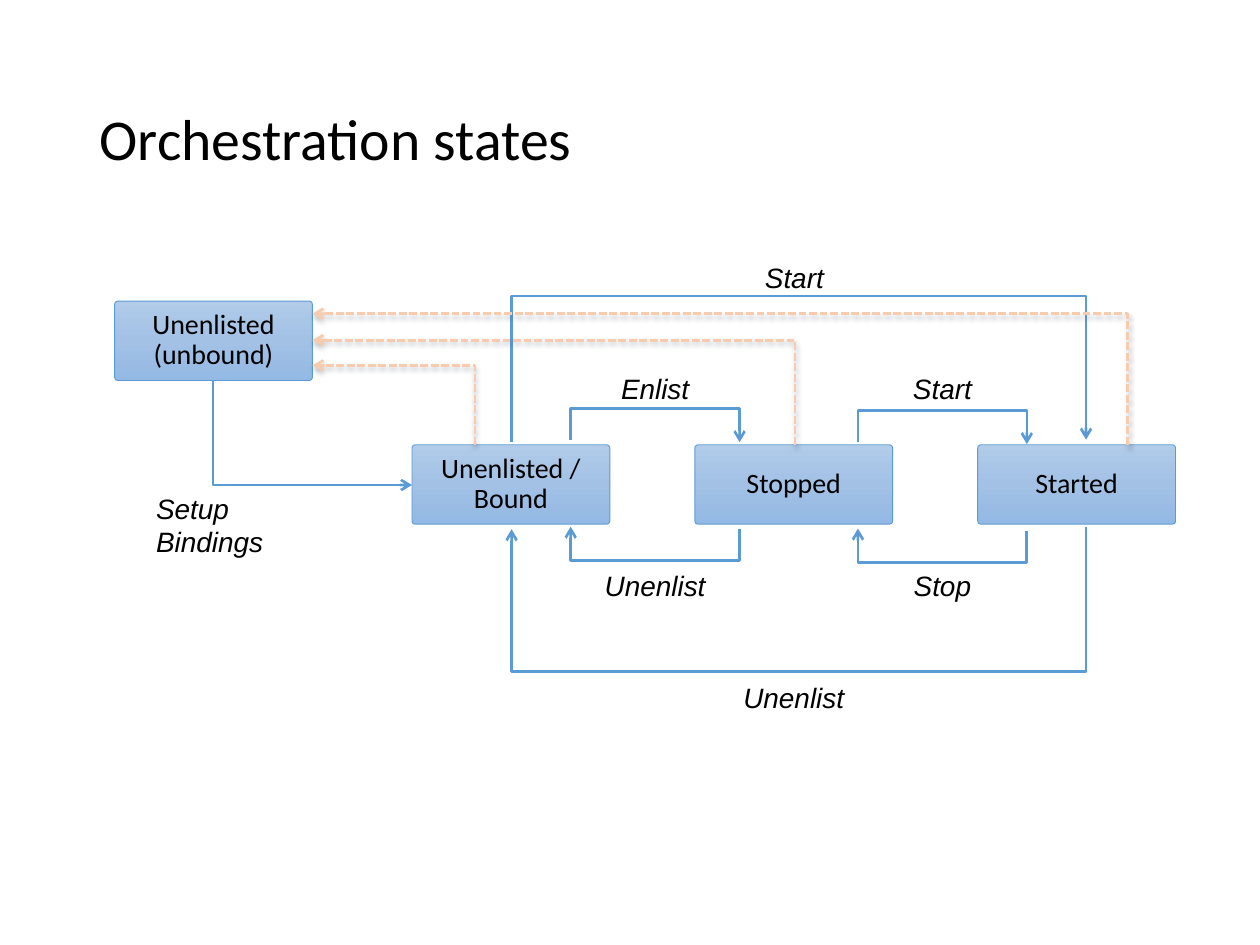
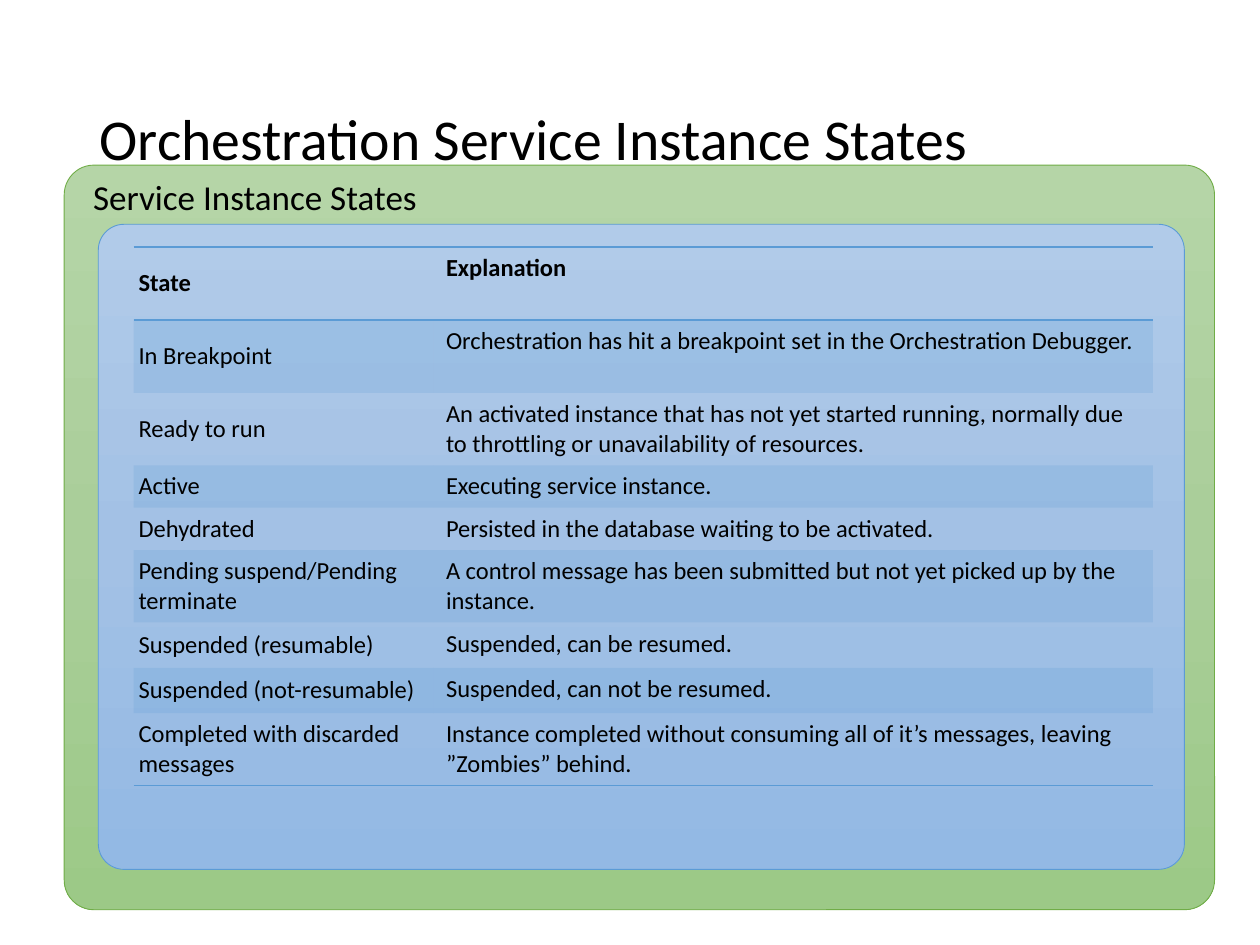
"""Build two slides on orchestration states: a state diagram and a table of states."""
import copy
from dataclasses import dataclass

import pptx
import pptx.dml.color
import pptx.enum.dml
import pptx.enum.shapes
import pptx.enum.text
import pptx.oxml
import pptx.oxml.ns
import pptx.util

ALIGN = pptx.enum.text.PP_ALIGN
ANCHOR = pptx.enum.text.MSO_ANCHOR
SHAPES = pptx.enum.shapes
WIDTH, HEIGHT = pptx.util.Inches(10), pptx.util.Inches(7.5)
NAMESPACE = pptx.oxml.ns.nsdecls("a")
NO_STYLE = "{2D5ABB26-0587-4C30-8999-92F81FD0307C}"


@dataclass(frozen=True)
class Theme:
    """Hold the colours, fonts and type sizes of both slides."""
    text: str = "000000"
    blue: str = "5B9BD5"
    green: str = "70AD47"
    peach: str = "F8CBAD"
    shadow: str = "333F50"
    blue_fade: tuple = ("B1CBE9", "A3C1E5", "93B9E4")
    green_fade: tuple = ("B5D5A7", "AACE9A", "9CC987")
    body_font: str = "Calibri"
    label_font: str = "Arial"
    title_size: int = 33
    panel_size: int = 20
    label_size: int = 16
    table_size: int = 14


THEME = Theme()

STATES = (
    ("State", "Explanation"),
    ("In Breakpoint", "Orchestration has hit a breakpoint set in the Orchestration Debugger."),
    ("Ready to run", "An activated instance that has not yet started running, normally due "
     "to throttling or unavailability of resources."),
    ("Active", "Executing service instance."),
    ("Dehydrated", "Persisted in the database waiting to be activated."),
    ("Pending suspend/Pending terminate",
     "A control message has been submitted but not yet picked up by the instance."),
    ("Suspended (resumable)", "Suspended, can be resumed."),
    ("Suspended (not-resumable)", "Suspended, can not be resumed."),
    ("Completed with discarded messages",
     "Instance completed without consuming all of it’s messages, leaving ”Zombies” behind."),
)
ROW_HEIGHTS = (7.73, 7.73, 4.8, 4.13, 4.13, 4.8, 4.8, 4.8, 4.8)


def across(percent):
    """Turn a percentage of the slide width into a length."""
    return round(WIDTH * percent / 100)


def down(percent):
    """Turn a percentage of the slide height into a length."""
    return round(HEIGHT * percent / 100)


def place(left, top, width, height):
    """Turn a box in percentages into lengths."""
    return across(left), down(top), across(width), down(height)


def rgb(value):
    """Return a colour for a hexadecimal value."""
    return pptx.dml.color.RGBColor.from_string(value)


def assign(target, values):
    """Set attributes from a dict of format values."""
    for name, value in values.items():
        setattr(target, name, value)


def write(frame, text, size, font=THEME.body_font, align=ALIGN.LEFT, spacing=0.9,
          bold=False, italic=False, **frame_format):
    """Write one formatted paragraph into a text frame."""
    assign(frame, {"word_wrap": True, **frame_format})
    paragraph = frame.paragraphs[0]
    assign(paragraph, {"alignment": align, "line_spacing": spacing})
    run = paragraph.add_run()
    run.text = text
    assign(run.font, {"name": font, "size": pptx.util.Pt(size), "bold": bold, "italic": italic})
    run.font.color.rgb = rgb(THEME.text)


def add_titled_slide(presentation, title):
    """Add a title-only slide with the shared title style."""
    slide = presentation.slides.add_slide(presentation.slide_layouts[5])
    names = ("left", "top", "width", "height")
    assign(slide.shapes.title, dict(zip(names, place(6.9, 5.33, 86.2, 19.33))))
    write(slide.shapes.title.text_frame, title, THEME.title_size, vertical_anchor=ANCHOR.MIDDLE)
    return slide


def add_panel(slide, box, fade, outline):
    """Add a slightly rounded panel with a vertical three-stop gradient."""
    shape = slide.shapes.add_shape(SHAPES.MSO_SHAPE.ROUNDED_RECTANGLE, *place(*box))
    shape.adjustments[0] = 0.04
    shape.shadow.inherit = False
    shape.line.color.rgb = rgb(outline)
    shape.line.width = pptx.util.Pt(0.5)
    shape.fill.gradient()
    shape.fill.gradient_angle = 270
    stop_list = shape.element.spPr.find(".//" + pptx.oxml.ns.qn("a:gsLst"))
    stop_list.insert(1, copy.deepcopy(stop_list[0]))
    for stop, position, colour in zip(shape.fill.gradient_stops, (0, 0.5, 1), fade):
        stop.position = position
        stop.color.rgb = rgb(colour)
    return shape


def add_state(slide, text, left, top):
    """Add a state box of the diagram."""
    shape = add_panel(slide, (left, top, 15.7, 8.4), THEME.blue_fade, THEME.blue)
    write(shape.text_frame, text, THEME.label_size, align=ALIGN.CENTER,
          vertical_anchor=ANCHOR.MIDDLE)


def add_label(slide, text, box, align=ALIGN.CENTER):
    """Add an italic label of a transition."""
    frame = slide.shapes.add_textbox(*place(*box)).text_frame
    write(frame, text, THEME.label_size, THEME.label_font, align, 1, italic=True,
          auto_size=pptx.enum.text.MSO_AUTO_SIZE.SHAPE_TO_FIT_TEXT)


def add_bent_arrow(slide, start, end, rail=None, colour=THEME.blue):
    """Add an arrow that leaves vertically and turns at the rail, or at the end's height."""
    (x1, y1), (x2, y2) = ((across(x), down(y)) for x, y in (start, end))
    run, rise = abs(x2 - x1), abs(y2 - y1)
    left, top = (x1 + x2 - rise) // 2, (y1 + y2 - run) // 2
    connector = slide.shapes.add_connector(
        SHAPES.MSO_CONNECTOR.ELBOW, left, top, left + rise, top + run)
    properties = connector.element.spPr
    frame = properties.find(pptx.oxml.ns.qn("a:xfrm"))
    frame.set("rot", str((270 if x2 > x1 else 90) * 60000))
    if (x2 > x1) == (y2 > y1):
        frame.set("flipH", "1")
    geometry = properties.find(pptx.oxml.ns.qn("a:prstGeom"))
    if rail is None:
        geometry.set("prst", "bentConnector2")
    else:
        turn = round((down(rail) - y1) / (y2 - y1) * 100000)
        guides = geometry.find(pptx.oxml.ns.qn("a:avLst"))
        guides.append(pptx.oxml.parse_xml(f'<a:gd {NAMESPACE} name="adj1" fmla="val {turn}"/>'))
    connector.line.color.rgb = rgb(colour)
    connector.line.width = pptx.util.Pt(1.5)
    return connector


def finish_arrow(connector, shadow=""):
    """Add the arrowhead and the effect list of a connector."""
    line = connector.line._get_or_add_ln()
    line.append(pptx.oxml.parse_xml(f'<a:tailEnd {NAMESPACE} type="arrow"/>'))
    connector.element.spPr.append(
        pptx.oxml.parse_xml(f"<a:effectLst {NAMESPACE}>{shadow}</a:effectLst>"))


def add_transition(slide, start, end, rail=None):
    """Add a solid arrow between two states."""
    finish_arrow(add_bent_arrow(slide, start, end, rail))


def add_unbind(slide, start, end):
    """Add a dashed, shadowed arrow back to the unbound state."""
    connector = add_bent_arrow(slide, start, end, colour=THEME.peach)
    connector.line.dash_style = pptx.enum.dml.MSO_LINE.SQUARE_DOT
    finish_arrow(connector, (
        '<a:outerShdw blurRad="39370" dist="22860" dir="5400000" rotWithShape="0">'
        f'<a:srgbClr val="{THEME.shadow}"><a:alpha val="35000"/></a:srgbClr></a:outerShdw>'))


def set_cell_border(cell, side):
    """Draw one blue border of a table cell."""
    cell._tc.get_or_add_tcPr().append(pptx.oxml.parse_xml(
        f'<a:ln{side} {NAMESPACE} w="12700"><a:solidFill><a:srgbClr val="{THEME.blue}"/>'
        f"</a:solidFill></a:ln{side}>"))


def fill_cell(cell, banded):
    """Give a banded cell a translucent blue fill and any other cell none."""
    if not banded:
        cell.fill.background()
        return
    cell.fill.solid()
    cell.fill.fore_color.rgb = rgb(THEME.blue)
    colour = cell._tc.tcPr.find("./" + pptx.oxml.ns.qn("a:solidFill"))[0]
    colour.append(pptx.oxml.parse_xml(f'<a:alpha {NAMESPACE} val="20000"/>'))


def add_state_table(slide):
    """Add the table that explains each instance state."""
    box = place(10.6, 26.13, 80.9, sum(ROW_HEIGHTS))
    table = slide.shapes.add_table(len(STATES), 2, *box).table
    assign(table, {"first_row": False, "horz_banding": False})
    table._tbl.tblPr.find(pptx.oxml.ns.qn("a:tableStyleId")).text = NO_STYLE
    for column, width in zip(table.columns, (23.8, 57.1)):
        column.width = across(width)
    insets = ((0.04, 0.02, ANCHOR.MIDDLE), (0.1, 0.05, ANCHOR.TOP))
    for index, (texts, height) in enumerate(zip(STATES, ROW_HEIGHTS)):
        table.rows[index].height = down(height)
        sides = {0: "TB", len(STATES) - 1: "B"}.get(index, "")
        for cell, text, (side, edge, anchor) in zip(table.rows[index].cells, texts, insets):
            side, edge = pptx.util.Inches(side), pptx.util.Inches(edge)
            assign(cell, {"margin_left": side, "margin_right": side, "margin_top": edge,
                          "margin_bottom": edge, "vertical_anchor": anchor})
            write(cell.text_frame, text, THEME.table_size, spacing=1, bold=index == 0)
            for border in sides:
                set_cell_border(cell, border)
            fill_cell(cell, index % 2 == 1)


def build_diagram(presentation):
    """Build the slide with the state diagram."""
    slide = add_titled_slide(presentation, "Orchestration states")
    add_state(slide, "Unenlisted (unbound)", 9.1, 31.87)
    for index, text in enumerate(("Unenlisted / Bound", "Stopped", "Started")):
        add_state(slide, text, 32.7 + 22.45 * index, 47.07)

    add_transition(slide, (16.9, 40.2), (32.7, 51.33))
    add_label(slide, "Setup Bindings", (11.4, 51.33, 11, 8.53), ALIGN.LEFT)
    for index, (forward, back) in enumerate((("Enlist", "Unenlist"), ("Start", "Stop"))):
        left, drop = 45.3 + 22.8 * index, 0.2 * index
        right = left + 13.4
        add_transition(slide, (left, 46.53 + drop), (right, 46.8 + drop), 43.2 + drop)
        add_transition(slide, (right, 56 + drop), (left, 55.73 + drop), 59.33 + drop)
        add_label(slide, forward, (left + 2.35, 38.67, 8.7, 4.93))
        add_label(slide, back, (left + 1.2, 59.47, 11, 4.93))
    add_transition(slide, (40.6, 46.8), (86.2, 46.53), 31.2)
    add_transition(slide, (86.2, 55.73), (40.6, 56), 71.2)
    add_label(slide, "Start", (58.7, 26.93, 8.7, 4.93))
    add_label(slide, "Unenlist", (55.7, 71.33, 14.6, 4.93))

    for x, y in ((37.7, 38.67), (63.1, 36), (89.5, 33.2)):
        add_unbind(slide, (x, 47.07), (24.8, y))


def build_explanation(presentation):
    """Build the slide with the table of instance states."""
    slide = add_titled_slide(presentation, "Orchestration Service Instance States")
    panel = add_panel(slide, (5.1, 17.47, 91.3, 78.8), THEME.green_fade, THEME.green)
    write(panel.text_frame, "Service Instance States", THEME.panel_size,
          vertical_anchor=ANCHOR.TOP, margin_left=pptx.util.Inches(0.16))
    add_panel(slide, (7.8, 23.73, 86.2, 68.27), THEME.blue_fade, THEME.blue)
    add_state_table(slide)


def main():
    """Build and save the presentation."""
    presentation = pptx.Presentation()
    assign(presentation, {"slide_width": WIDTH, "slide_height": HEIGHT})
    build_diagram(presentation)
    build_explanation(presentation)
    presentation.save("out.pptx")


main()
